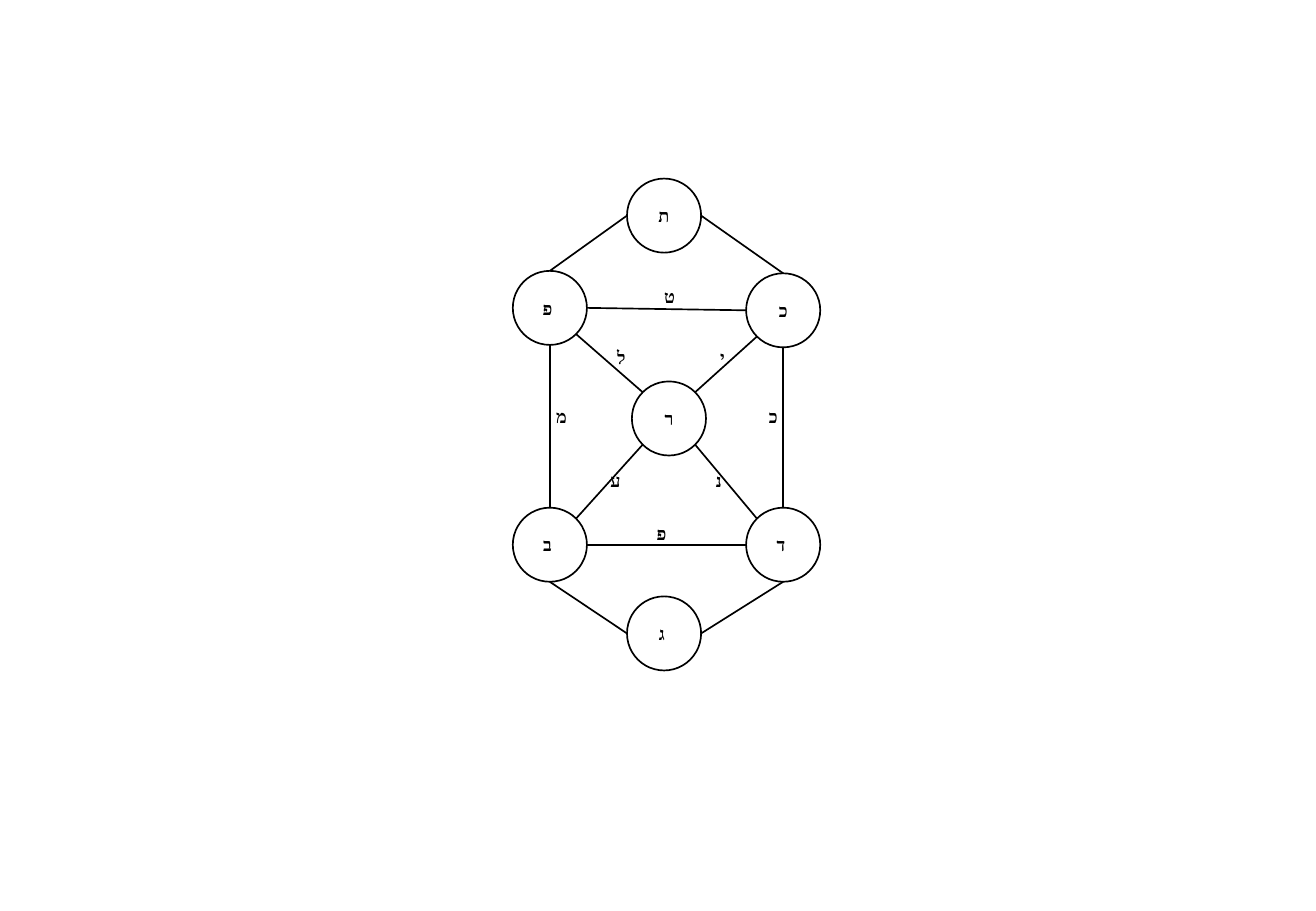
from math import cos, radians, sin

from lxml.etree import SubElement
from pptx import Presentation
from pptx.dml.color import RGBColor
from pptx.enum.shapes import MSO_CONNECTOR, MSO_SHAPE
from pptx.enum.text import MSO_ANCHOR, PP_ALIGN
from pptx.oxml.ns import qn
from pptx.util import Inches, Pt

BLACK = RGBColor(0, 0, 0)
WHITE = RGBColor(255, 255, 255)
FONT = "Times New Roman"
TEXT_FORMAT = {"name": FONT, "size": Pt(10.7), "bold": True}
FRAME_FORMAT = {"margin_left": 0, "margin_right": 0, "word_wrap": False,
                "vertical_anchor": MSO_ANCHOR.MIDDLE}
ROWS = 75
DIAMETER = 6.1
LABEL_HEIGHT = 2.8
TOP, TOP_LEFT, LEFT, BOTTOM_LEFT, BOTTOM, BOTTOM_RIGHT, RIGHT, TOP_RIGHT = range(8)

NODES = {
    "upper_left": ("פ ", 0, 7.6),
    "upper_right": ("כ", 19.2, 7.8),
    "crown": ("ת", 9.4, 0),
    "centre": ("ר", 9.8, 16.7),
    "lower_right": ("ד ", 19.2, 27.1),
    "lower_left": ("ב ", 0, 27.1),
    "base": ("ג ", 9.4, 34.4),
}
PATHS = [
    ("upper_left", BOTTOM, "lower_left", TOP),
    ("upper_right", BOTTOM, "lower_right", TOP),
    ("upper_right", LEFT, "upper_left", RIGHT),
    ("lower_right", LEFT, "lower_left", RIGHT),
    ("crown", LEFT, "upper_left", TOP),
    ("upper_right", TOP, "crown", RIGHT),
    ("lower_right", BOTTOM, "base", RIGHT),
    ("lower_left", BOTTOM, "base", LEFT),
    ("upper_right", BOTTOM_LEFT, "centre", TOP_RIGHT),
    ("centre", BOTTOM_LEFT, "lower_left", TOP_RIGHT),
    ("lower_right", TOP_LEFT, "centre", BOTTOM_RIGHT),
    ("centre", TOP_LEFT, "upper_left", BOTTOM_RIGHT),
]
LABELS = [
    ("פ", 11.7, 27.8, 1.1),
    ("ע", 8, 23.4, 0.9),
    ("כ", 20.1, 18.2, 2.7),
    ("נ", 15.7, 23.4, 2.5),
    ("י", 16, 13.3, 2.5),
    ("ט", 11.5, 8.3, 2.8),
    ("ל", 7.6, 13.3, 2.7),
    ("מ", 2.6, 18.2, 2.8),
]


def write_letter(sp, letter):
    tf = sp.text_frame
    for name, value in FRAME_FORMAT.items():
        setattr(tf, name, value)
    p = tf.paragraphs[0]
    p.alignment = PP_ALIGN.CENTER
    r = p.add_run()
    r.text = letter
    for name, value in TEXT_FORMAT.items():
        setattr(r.font, name, value)
    r.font.color.rgb = BLACK
    SubElement(r.font._element, qn("a:cs"), typeface=FONT)


def outline(sp):
    sp.line.color.rgb = BLACK
    sp.line.width = Pt(1)


def add_node(s, letter, left, top, size):
    sp = s.shapes.add_shape(MSO_SHAPE.OVAL, left, top, size, size)
    sp.shadow.inherit = False
    sp.fill.solid()
    sp.fill.fore_color.rgb = WHITE
    outline(sp)
    write_letter(sp, letter)
    return sp


def site_point(sp, site):
    angle = radians(-90 - 45 * site)
    radius = sp.width / 2
    return (round(sp.left + radius * (1 + cos(angle))),
            round(sp.top + radius * (1 + sin(angle))))


def add_path(s, start, start_site, end, end_site):
    line = s.shapes.add_connector(MSO_CONNECTOR.STRAIGHT,
                                  *site_point(start, start_site),
                                  *site_point(end, end_site))
    outline(line)
    SubElement(line._element.spPr, qn("a:effectLst"))
    joints = line._element.nvCxnSpPr.cNvCxnSpPr
    for tag, sp, site in (("a:stCxn", start, start_site), ("a:endCxn", end, end_site)):
        SubElement(joints, qn(tag), id=str(sp.shape_id), idx=str(site))


def add_tree(s, left, top, cell):
    def place(column, row):
        return round(left + column * cell), round(top + row * cell)

    nodes = {name: add_node(s, letter, *place(column, row), round(DIAMETER * cell))
             for name, (letter, column, row) in NODES.items()}
    for start, start_site, end, end_site in PATHS:
        add_path(s, nodes[start], start_site, nodes[end], end_site)
    for letter, column, row, width in LABELS:
        sp = s.shapes.add_textbox(*place(column, row), round(width * cell),
                                  round(LABEL_HEIGHT * cell))
        write_letter(sp, letter)


def main():
    prs = Presentation()
    prs.slide_width, prs.slide_height = Inches(10.83), Inches(7.5)
    s = prs.slides.add_slide(prs.slide_layouts[6])
    cell = prs.slide_height / ROWS
    add_tree(s, 42.2 * cell, 14.7 * cell, cell)
    prs.save("out.pptx")


if __name__ == "__main__":
    main()
